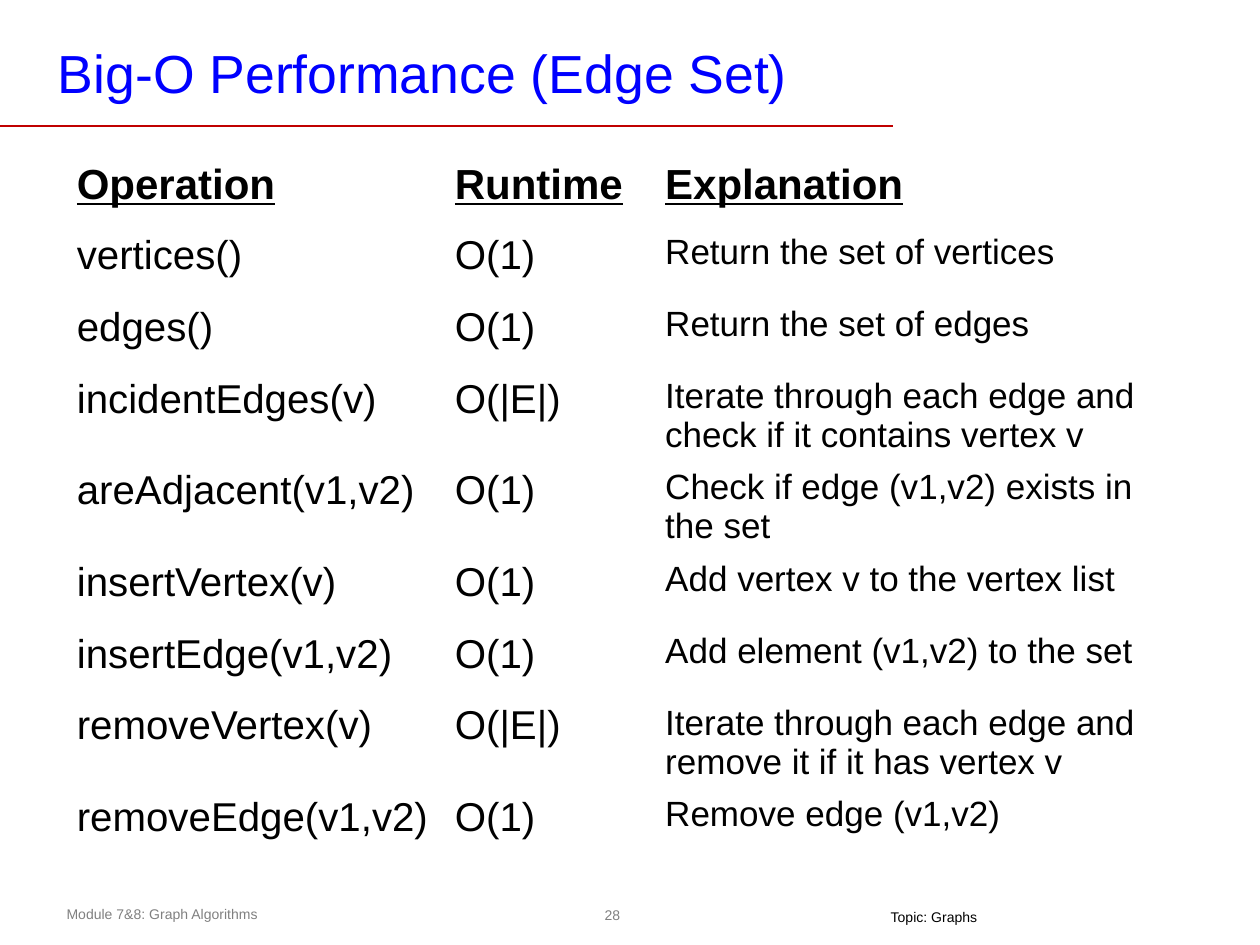
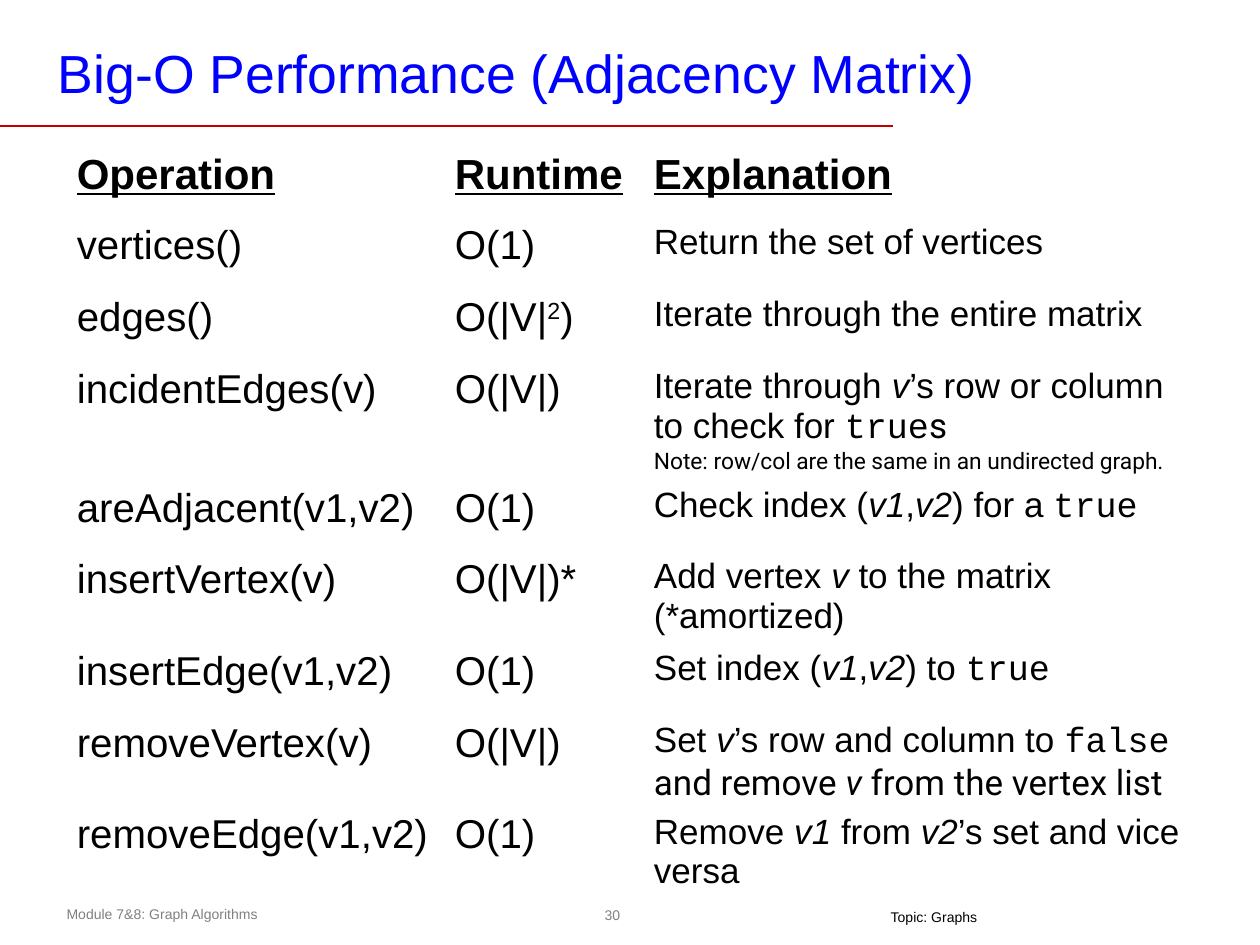
from dataclasses import dataclass

from lxml import etree
from pptx import Presentation
from pptx.dml.color import RGBColor
from pptx.enum.shapes import MSO_CONNECTOR, MSO_SHAPE
from pptx.enum.text import MSO_ANCHOR, PP_ALIGN
from pptx.oxml.ns import qn
from pptx.util import Inches, Pt

OVAL = MSO_SHAPE.OVAL
STRAIGHT = MSO_CONNECTOR.STRAIGHT
TOP, MIDDLE = MSO_ANCHOR.TOP, MSO_ANCHOR.MIDDLE
CENTER = PP_ALIGN.CENTER


@dataclass(frozen=True)
class Theme:
    title: RGBColor = RGBColor(0x00, 0x00, 0xFF)
    rule: RGBColor = RGBColor(0xC0, 0x00, 0x00)
    text: RGBColor = RGBColor(0x00, 0x00, 0x00)
    muted: RGBColor = RGBColor(0x80, 0x80, 0x80)
    sans: str = "Arial"
    mono: str = "Courier New"
    alternate: str = "Roboto"
    title_size: float = 30.6
    header_size: float = 24
    operation_size: float = 23
    explanation_size: float = 20
    note_size: float = 13
    footer_size: float = 8


THEME = Theme()
NO_GRID_STYLE = "{2D5ABB26-0587-4C30-8999-92F81FD0307C}"
ROW_HEIGHT = 0.57
CELL_BOTTOM_MARGIN = 0.01
HEADERS = ["Operation", "Runtime", "Explanation"]
OPERATIONS = [
    "vertices()", "edges()", "incidentEdges(v)", "areAdjacent(v1,v2)",
    "insertVertex(v)", "insertEdge(v1,v2)", "removeVertex(v)", "removeEdge(v1,v2)",
]


# Inline styles: each returns a (text, style) pair for one run
def italic(text, **style):
    return text, {"italic": True, **style}


def code(text):
    return text, {"font": THEME.mono}


def alternate(text, **style):
    return text, {"font": THEME.alternate, **style}


def superscript(text):
    return text, {"baseline": 30}


# Content: a cell is a string, a list of runs, or a tuple of such paragraphs
EDGE_SET = [
    ("O(1)", "Return the set of vertices"),
    ("O(1)", "Return the set of edges"),
    ("O(|E|)", "Iterate through each edge and check if it contains vertex v"),
    ("O(1)", "Check if edge (v1,v2) exists in the set"),
    ("O(1)", "Add vertex v to the vertex list"),
    ("O(1)", "Add element (v1,v2) to the set"),
    ("O(|E|)", "Iterate through each edge and remove it if it has vertex v"),
    ("O(1)", "Remove edge (v1,v2)"),
]
ADJACENCY_MATRIX = [
    ("O(1)", "Return the set of vertices"),
    (["O(|V|", superscript("2"), ")"], "Iterate through the entire matrix"),
    ("O(|V|)", (
        ["Iterate through ", italic("v"), "’s row or column to check for ",
         code("true"), alternate("s")],
        [alternate("Note: row/col are the same in an undirected graph.",
                   size=THEME.note_size)],
    )),
    ("O(1)", ["Check index (", italic("v1"), ",", italic("v2"), ") for a ", code("true")]),
    ("O(|V|)*", ["Add vertex ", italic("v"), " to the matrix (*amortized)"]),
    ("O(1)", ["Set index (", italic("v1"), ",", italic("v2"), ") to ", code("true")]),
    ("O(|V|)", ["Set ", italic("v"), "’s row and column to ", code("false "),
                alternate("and remove "), italic("v", font=THEME.alternate),
                alternate(" from the vertex list")]),
    ("O(1)", ["Remove ", italic("v1"), " from ", italic("v2"), "’s set and vice versa"]),
]


def add_run(paragraph, text, size, color=THEME.text, font=THEME.sans,
            bold=False, italic=False, underline=False, baseline=0):
    run = paragraph.add_run()
    run.text = text
    run.font.name = font
    run.font.size = Pt(size)
    run.font.color.rgb = color
    run.font.bold, run.font.italic, run.font.underline = bold, italic, underline
    if baseline:
        run._r.get_or_add_rPr().set("baseline", str(baseline * 1000))


def write(frame, content, **base):
    paragraphs = content if isinstance(content, tuple) else (content,)
    for index, runs in enumerate(paragraphs):
        paragraph = frame.add_paragraph() if index else frame.paragraphs[0]
        for item in [runs] if isinstance(runs, str) else runs:
            text, style = (item, {}) if isinstance(item, str) else item
            add_run(paragraph, text, **{**base, **style})


def set_frame(frame, insets=(0.1, 0.05, 0.1, 0.05), anchor=TOP, wrap=True):
    frame.margin_left, frame.margin_top, frame.margin_right, frame.margin_bottom = map(
        Inches, insets)
    frame.vertical_anchor = anchor
    frame.word_wrap = wrap
    return frame


def add_label(slide, box, text, size, color, **frame_options):
    shape = slide.shapes.add_textbox(*map(Inches, box))
    write(set_frame(shape.text_frame, **frame_options), text, size=size, color=color)


def add_page_number(slide, box, number):
    shape = slide.shapes.add_shape(OVAL, *map(Inches, box))
    shape.shadow.inherit = False
    shape.fill.background()
    shape.line.fill.background()
    frame = set_frame(shape.text_frame, (0.04,) * 4, MIDDLE, wrap=False)
    write(frame, str(number), size=THEME.footer_size, color=THEME.muted)
    frame.paragraphs[0].alignment = CENTER


def add_title_rule(slide, top, length):
    rule = slide.shapes.add_connector(
        STRAIGHT, 0, Inches(top), Inches(length), Inches(top))
    rule.line.color.rgb = THEME.rule
    rule.line.width = Pt(1)
    etree.SubElement(rule._element.spPr, qn("a:effectLst"))


def add_frame(slide, title, number):
    """Title, rule and footer shared by every slide."""
    add_page_number(slide, (4.74, 7.13, 0.24, 0.26), number)
    add_label(slide, (0.43, 7.14, 3.64, 0.24), "Module 7&8: Graph Algorithms",
              THEME.footer_size, THEME.muted)
    add_title_rule(slide, 1, 7.09)
    add_label(slide, (0.39, 0.27, 7.6, 0.6), title, THEME.title_size, THEME.title,
              insets=(0.07, 0.03, 0.07, 0.03), anchor=MIDDLE)
    add_label(slide, (6.97, 7.21, 0.89, 0.17), "Topic: Graphs",
              THEME.footer_size, THEME.text, insets=(0.1, 0, 0.1, 0.04), wrap=False)


def add_performance_table(slide, left, top, widths, results):
    rows = [HEADERS] + [(name, *result) for name, result in zip(OPERATIONS, results)]
    table = slide.shapes.add_table(
        len(rows), len(widths), Inches(left), Inches(top),
        Inches(sum(widths)), Inches(ROW_HEIGHT * len(rows))).table
    table.first_row = table.horz_banding = False
    # A style without borders keeps the footer below the table clear
    table._tbl.tblPr.find(qn("a:tableStyleId")).text = NO_GRID_STYLE
    for column, width in zip(table.columns, widths):
        column.width = Inches(width)
    body_sizes = (THEME.operation_size, THEME.operation_size, THEME.explanation_size)
    for row_index, row in enumerate(rows):
        table.rows[row_index].height = Inches(ROW_HEIGHT)
        is_header = row_index == 0
        for column_index, content in enumerate(row):
            cell = table.cell(row_index, column_index)
            cell.fill.background()
            cell.margin_bottom = Inches(CELL_BOTTOM_MARGIN)
            size = THEME.header_size if is_header else body_sizes[column_index]
            write(cell.text_frame, content, size=size, bold=is_header, underline=is_header)


def add_performance_slide(presentation, title, number, top, widths, results):
    slide = presentation.slides.add_slide(presentation.slide_layouts[6])
    add_frame(slide, f"Big-O Performance ({title})", number)
    add_performance_table(slide, 0.51, top, widths, results)


def main():
    presentation = Presentation()
    presentation.slide_width, presentation.slide_height = Inches(10), Inches(7.5)
    add_performance_slide(presentation, "Edge Set", 28, 1.23, (3, 1.67, 4.17), EDGE_SET)
    add_performance_slide(presentation, "Adjacency Matrix", 30, 1.15, (3, 1.58, 4.5),
                          ADJACENCY_MATRIX)
    presentation.save("out.pptx")


if __name__ == "__main__":
    main()
